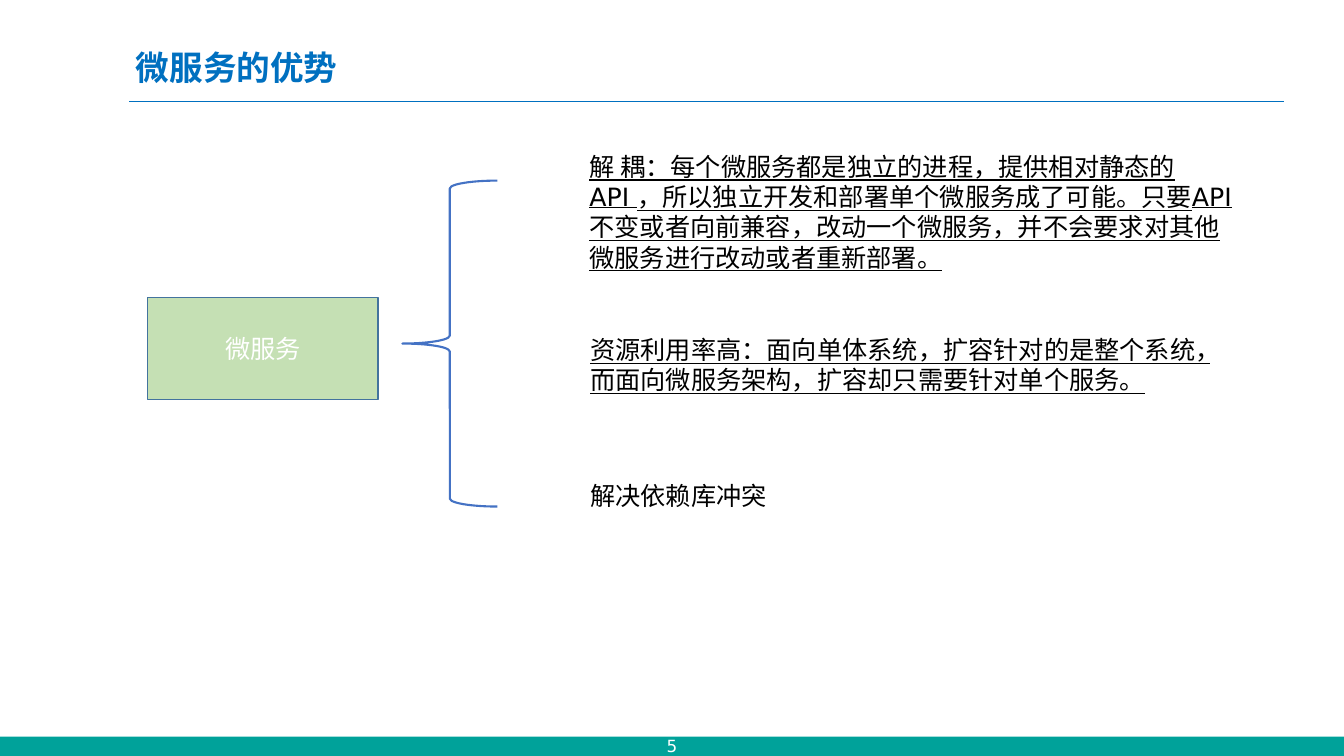
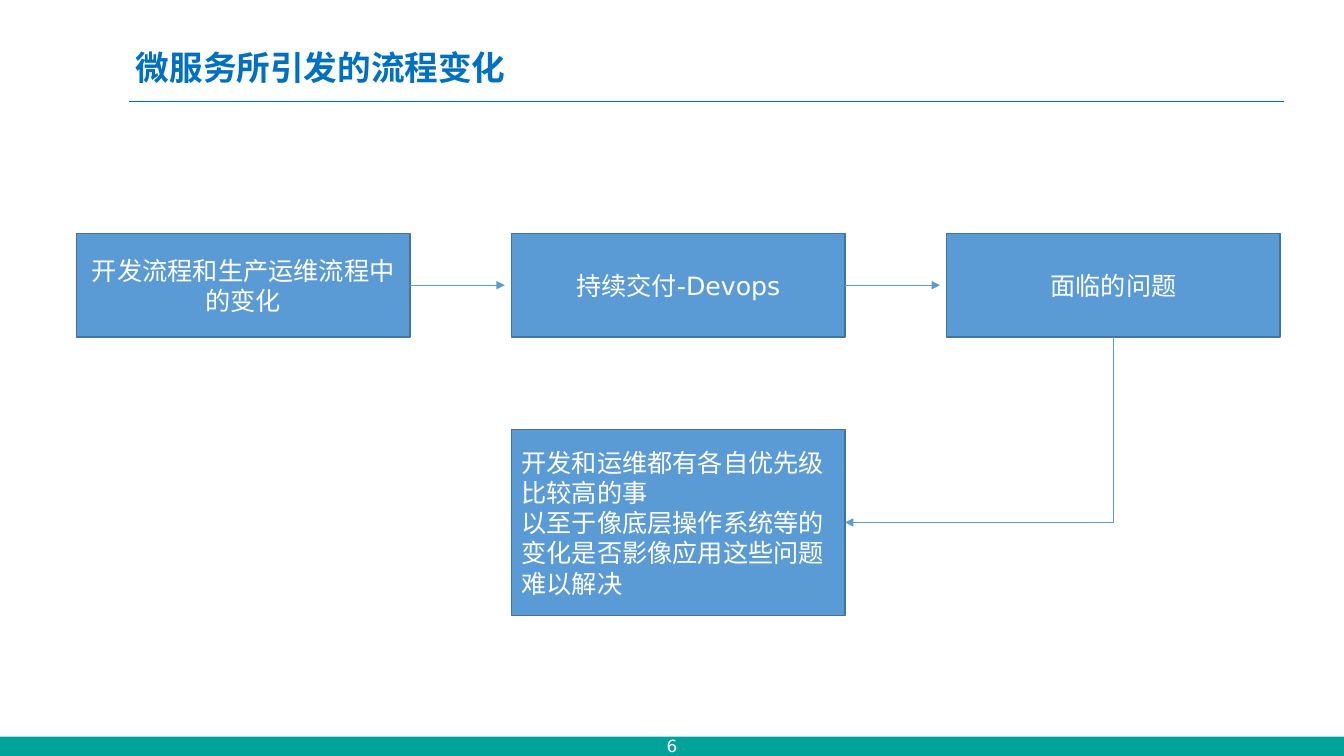
import pptx
import pptx.dml.color
import pptx.enum.shapes
import pptx.enum.text
import pptx.oxml
import pptx.oxml.ns
import pptx.util

SHAPE = pptx.enum.shapes.MSO_SHAPE
CONNECTOR = pptx.enum.shapes.MSO_CONNECTOR
ALIGN = pptx.enum.text.PP_ALIGN
ANCHOR = pptx.enum.text.MSO_ANCHOR
AUTO_SIZE = pptx.enum.text.MSO_AUTO_SIZE
COLUMNS, ROWS = 160, 90


def color(hex_value):
    return pptx.dml.color.RGBColor.from_string(hex_value)


class Deck:
    FONT = "DejaVu Sans"
    TITLE_BLUE = "0070C0"
    BAND_TEAL = "00A29A"
    STEP_BLUE = "5B9BD5"
    BORDER = "43739E"
    BRACE_BLUE = "4472C4"
    SOFT_GREEN = "C5E0B4"
    WHITE = "FFFFFF"
    BLACK = "000000"

    def __init__(self):
        self.presentation = pptx.Presentation()
        self.presentation.slide_width = pptx.util.Inches(13.33)
        self.presentation.slide_height = pptx.util.Inches(7.5)
        self.slide = None

    def across(self, columns):
        return round(self.presentation.slide_width * columns / COLUMNS)

    def down(self, rows):
        return round(self.presentation.slide_height * rows / ROWS)

    def place(self, left, top, width, height):
        return self.across(left), self.down(top), self.across(width), self.down(height)

    def start_slide(self, title, number):
        self.slide = self.presentation.slides.add_slide(self.presentation.slide_layouts[6])
        self.shape(SHAPE.RECTANGLE, (0, 87.7, COLUMNS, 2.3), fill=self.BAND_TEAL)
        self.line((15.4, 12.1), (152.8, 12.1), self.TITLE_BLUE, 1)
        self.text((15, 4.6, 137.8, 7.3), title, anchor=ANCHOR.MIDDLE, spacing=0.9,
                  size=pptx.util.Pt(24), bold=True, ink=self.TITLE_BLUE)
        self.text((0, 87.5, COLUMNS, 2.5), str(number), anchor=ANCHOR.MIDDLE,
                  align=ALIGN.CENTER, size=pptx.util.Pt(12), ink=self.WHITE)

    def set_wording(self, frame, wording, anchor=ANCHOR.TOP, align=ALIGN.LEFT, spacing=1.0,
                    ink=BLACK, **font_format):
        frame.word_wrap = True
        frame.vertical_anchor = anchor
        frame.text = wording
        values = {"name": self.FONT, "size": pptx.util.Pt(18), **font_format}
        for paragraph in frame.paragraphs:
            paragraph.alignment = align
            paragraph.line_spacing = spacing
            for run in paragraph.runs:
                for attribute, value in values.items():
                    setattr(run.font, attribute, value)
                run.font.color.rgb = color(ink)

    def text(self, area, wording, grow=False, **style):
        box = self.slide.shapes.add_textbox(*self.place(*area))
        self.set_wording(box.text_frame, wording, **style)
        if grow:
            box.text_frame.auto_size = AUTO_SIZE.SHAPE_TO_FIT_TEXT

    def shape(self, preset, area, fill=None, border=None, weight=1):
        drawn = self.slide.shapes.add_shape(preset, *self.place(*area))
        drawn.shadow.inherit = False
        if fill:
            drawn.fill.solid()
            drawn.fill.fore_color.rgb = color(fill)
        else:
            drawn.fill.background()
        if border:
            drawn.line.color.rgb = color(border)
            drawn.line.width = pptx.util.Pt(weight)
        else:
            drawn.line.fill.background()
        return drawn

    def process(self, area, wording, fill=STEP_BLUE, align=ALIGN.CENTER):
        step = self.shape(SHAPE.FLOWCHART_PROCESS, area, fill, self.BORDER)
        self.set_wording(step.text_frame, wording, anchor=ANCHOR.MIDDLE, align=align,
                         ink=self.WHITE)

    def style_line(self, connector, ink, weight, arrow):
        connector.line.color.rgb = color(ink)
        connector.line.width = pptx.util.Pt(weight)
        namespace = pptx.oxml.ns.nsdecls("a")
        properties = connector.element.spPr
        if arrow:
            properties.find(pptx.oxml.ns.qn("a:ln")).append(
                pptx.oxml.parse_xml(f'<a:tailEnd {namespace} type="triangle"/>'))
        properties.append(pptx.oxml.parse_xml(f"<a:effectLst {namespace}/>"))

    def line(self, start, end, ink=STEP_BLUE, weight=0.5, arrow=False):
        connector = self.slide.shapes.add_connector(
            CONNECTOR.STRAIGHT, self.across(start[0]), self.down(start[1]),
            self.across(end[0]), self.down(end[1]))
        self.style_line(connector, ink, weight, arrow)

    def elbow_down_left(self, start, end):
        right, top = self.across(start[0]), self.down(start[1])
        left, bottom = self.across(end[0]), self.down(end[1])
        center_x, center_y = (left + right) // 2, (top + bottom) // 2
        half_drop, half_run = (bottom - top) // 2, (right - left) // 2
        connector = self.slide.shapes.add_connector(
            CONNECTOR.ELBOW, center_x - half_drop, center_y - half_run,
            center_x + half_drop, center_y + half_run)
        properties = connector.element.spPr
        properties.find(pptx.oxml.ns.qn("a:xfrm")).set("rot", "5400000")
        properties.find(pptx.oxml.ns.qn("a:prstGeom")).set("prst", "bentConnector2")
        self.style_line(connector, self.STEP_BLUE, 0.5, True)


def advantages(deck):
    deck.start_slide("微服务的优势", 5)
    deck.process((17.6, 35.4, 27.4, 12.2), "微服务", fill=deck.SOFT_GREEN)
    deck.shape(SHAPE.LEFT_BRACE, (47.9, 21.5, 11.3, 38.8), border=deck.BRACE_BLUE, weight=1.5)
    benefits = [
        ((69, 17.4, 79.9, 15.7), True,
         "解 耦：每个微服务都是独立的进程，提供相对静态的API ，所以独立开发和部署单个微服务成了可能。"
         "只要API 不变或者向前兼容，改动一个微服务，并不会要求对其他微服务进行改动或者重新部署。"),
        ((69.1, 39.2, 76.1, 8.5), True,
         "资源利用率高：面向单体系统，扩容针对的是整个系统，而面向微服务架构，扩容却只需要针对单个服务。"),
        ((69.1, 56.6, 36, 4.8), False, "解决依赖库冲突"),
    ]
    for area, underlined, wording in benefits:
        deck.text(area, wording, grow=True, underline=underlined)


def process_changes(deck):
    deck.start_slide("微服务所引发的流程变化", 6)
    first, pitch, width = 9.1, 51.8, 39.7
    top, height = 27.8, 12.3
    middle = top + height / 2
    steps = ["开发流程和生产运维流程中的变化", "持续交付-Devops", "面临的问题"]
    lefts = [first + pitch * index for index in range(len(steps))]
    for left, wording in zip(lefts, steps):
        deck.process((left, top, width, height), wording)
    for left in lefts[:-1]:
        deck.line((left + width, middle), (left + pitch - 0.8, middle), arrow=True)

    issue_top, issue_height = 51.1, 22.2
    deck.elbow_down_left((lefts[2] + width / 2, top + height),
                         (lefts[1] + width, issue_top + issue_height / 2))
    deck.process((lefts[1], issue_top, width, issue_height),
                 "开发和运维都有各自优先级比较高的事\n"
                 "以至于像底层操作系统等的变化是否影像应用这些问题难以解决",
                 align=ALIGN.LEFT)


def main():
    deck = Deck()
    advantages(deck)
    process_changes(deck)
    deck.presentation.save("out.pptx")


if __name__ == "__main__":
    main()
